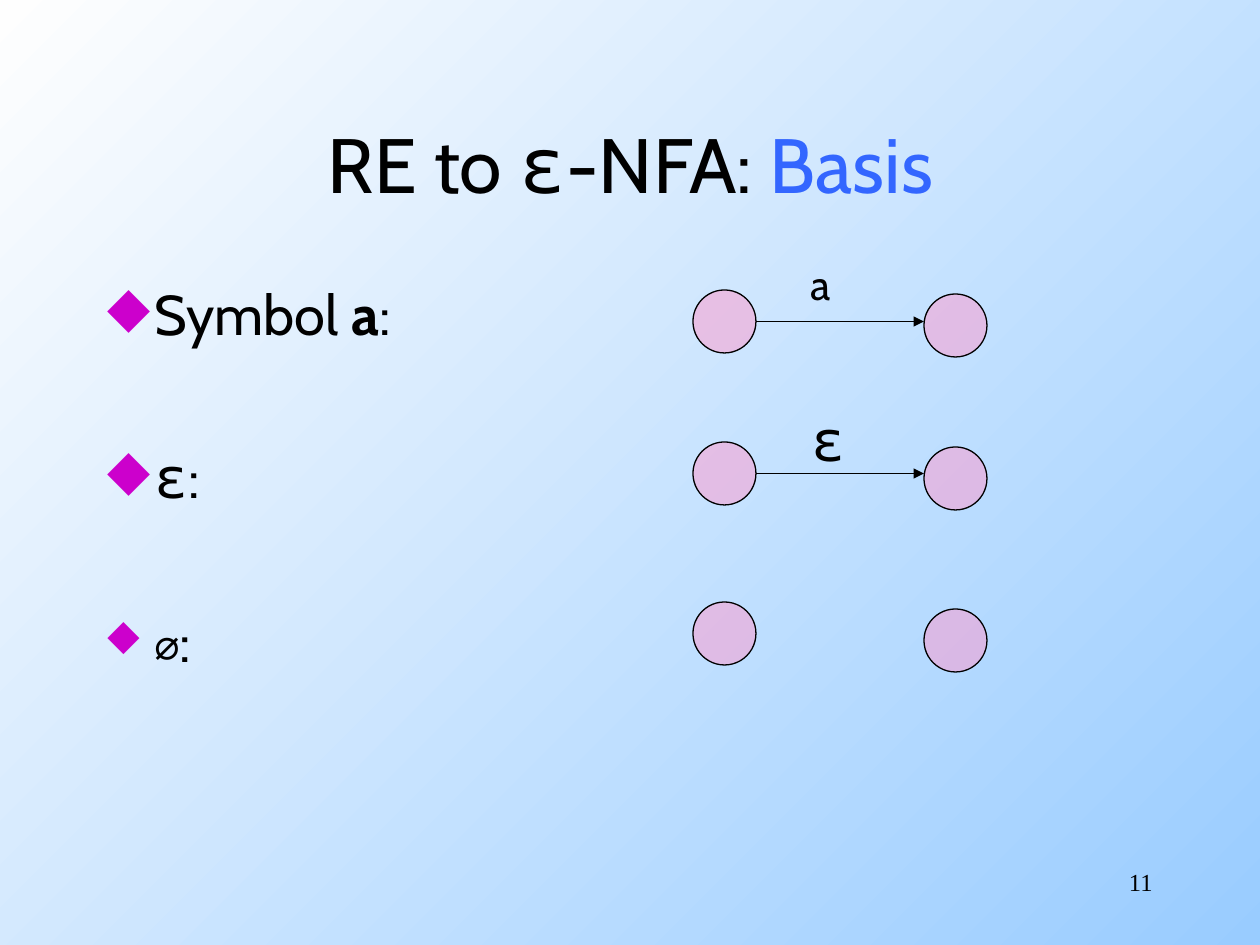
import pptx
import pptx.util
import pptx.dml.color
import pptx.enum.shapes
import pptx.enum.text
import lxml.etree

SCALE = 914400 / 126  # EMU per px
THEME = {
    "ink": "000000", "accent": "3366FF", "bullet": "CC00CC", "state": "FF99CC",
    "background": ("99CCFF", "FEFEFE"),
    "sans": "Cabin", "symbols": "DejaVu Sans Mono", "serif": "Times New Roman",
    "title": 44, "body": 32, "small": 24, "number": 14,
}
ALIGN = pptx.enum.text.PP_ALIGN
color = pptx.dml.color.RGBColor.from_string


def px(*lengths):
    return [pptx.util.Emu(round(length * SCALE)) for length in lengths]


def add_span(para, text, size, font="sans", ink="ink", bold=False):
    span = para.add_run()
    span.text = text
    span.font.size = pptx.util.Pt(THEME[size])
    span.font.name = THEME[font]
    span.font.color.rgb = color(THEME[ink])
    span.font.bold = bold


deck = pptx.Presentation()
deck.slide_width, deck.slide_height = px(1260, 945)
page = deck.slides.add_slide(deck.slide_layouts[5])

# Background: blue at bottom right to white at top left
backdrop = page.background.fill
backdrop.gradient()
backdrop.gradient_angle = 135
for stop, shade in zip(backdrop.gradient_stops, THEME["background"]):
    stop.color.rgb = color(shade)

# Title
title = page.shapes.title
title.left, title.top, title.width, title.height = px(95, 84, 1071, 158)
title.text_frame.vertical_anchor = pptx.enum.text.MSO_ANCHOR.MIDDLE
para = title.text_frame.paragraphs[0]
para.alignment = ALIGN.CENTER
add_span(para, "RE to ", "title")
add_span(para, "ε", "title", "symbols")
add_span(para, "-NFA: ", "title")
add_span(para, "Basis", "title", ink="accent")

# Basis cases
cases = [
    [("Symbol ", "body"), ("a", "body", "sans", "ink", True), (":", "body")],
    [("ε", "body", "symbols"), (":", "body")],
    [("∅", "small", "symbols"), (":", "body")],
]
box = page.shapes.add_textbox(*px(95, 273, 1071, 567))
box.text_frame.word_wrap = True
for index, spans in enumerate(cases):
    para = box.text_frame.add_paragraph() if index else box.text_frame.paragraphs[0]
    if index:
        para.space_before = pptx.util.Pt(55)
    properties = para._p.get_or_add_pPr()
    indent = px(47)[0]
    properties.set("marL", str(indent))
    properties.set("indent", str(-indent))
    bullet_color = lxml.etree.SubElement(properties, pptx.oxml.ns.qn("a:buClr"))
    lxml.etree.SubElement(bullet_color, pptx.oxml.ns.qn("a:srgbClr"), val=THEME["bullet"])
    lxml.etree.SubElement(properties, pptx.oxml.ns.qn("a:buChar"), char="◆")
    for span in spans:
        add_span(para, *span)

# Automata: start top, end top, arrow label (text, size, font, left, top, width, height)
diameter, start_left, end_left = 63, 693, 924
automata = [
    (290, 294, ("a", "small", "sans", 798, 252, 48, 63)),
    (442, 447, ("ε", "body", "symbols", 799, 399, 52, 81)),
    (602, 609, None),
]
for start_top, end_top, label in automata:
    for left, top in ((start_left, start_top), (end_left, end_top)):
        state = page.shapes.add_shape(
            pptx.enum.shapes.MSO_SHAPE.OVAL, *px(left, top, diameter, diameter))
        state.shadow.inherit = False
        state.fill.solid()
        state.fill.fore_color.rgb = color(THEME["state"])
        tint = state.fill._xPr.find(".//" + pptx.oxml.ns.qn("a:srgbClr"))
        lxml.etree.SubElement(tint, pptx.oxml.ns.qn("a:alpha"), val="50000")
        state.line.color.rgb = color(THEME["ink"])
        state.line.width = pptx.util.Pt(0.75)
    if label is None:
        continue
    middle = start_top + diameter / 2
    arrow = page.shapes.add_connector(
        pptx.enum.shapes.MSO_CONNECTOR.STRAIGHT,
        *px(start_left + diameter, middle, end_left, middle))
    arrow.line.color.rgb = color(THEME["ink"])
    arrow.line.width = pptx.util.Pt(0.75)
    lxml.etree.SubElement(arrow.line._get_or_add_ln(), pptx.oxml.ns.qn("a:tailEnd"), type="triangle")
    lxml.etree.SubElement(arrow._element.spPr, pptx.oxml.ns.qn("a:effectLst"))
    text, size, font, *place = label
    box = page.shapes.add_textbox(*px(*place))
    box.text_frame.word_wrap = False
    add_span(box.text_frame.paragraphs[0], text, size, font)

# Page number
box = page.shapes.add_textbox(*px(903, 861, 262, 63))
box.text_frame.word_wrap = True
para = box.text_frame.paragraphs[0]
para.alignment = ALIGN.RIGHT
add_span(para, "11", "number", "serif")

deck.save("out.pptx")
